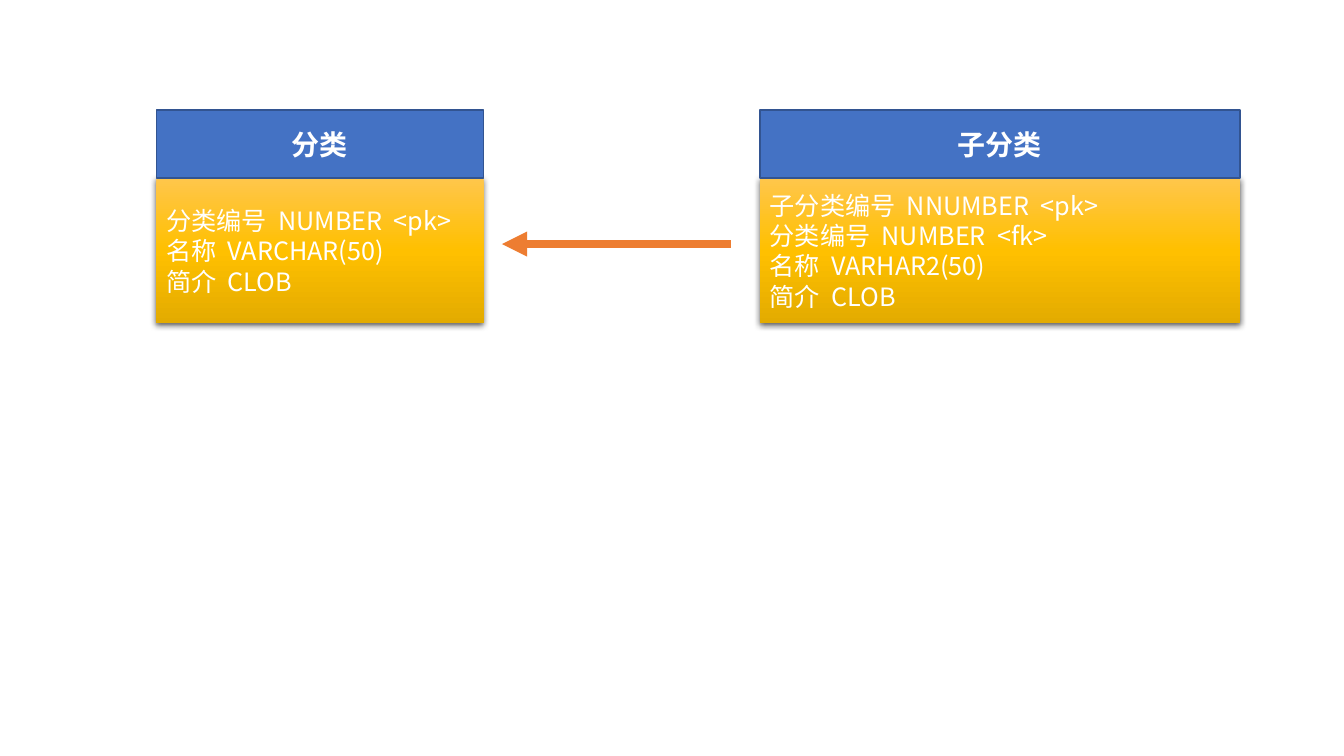
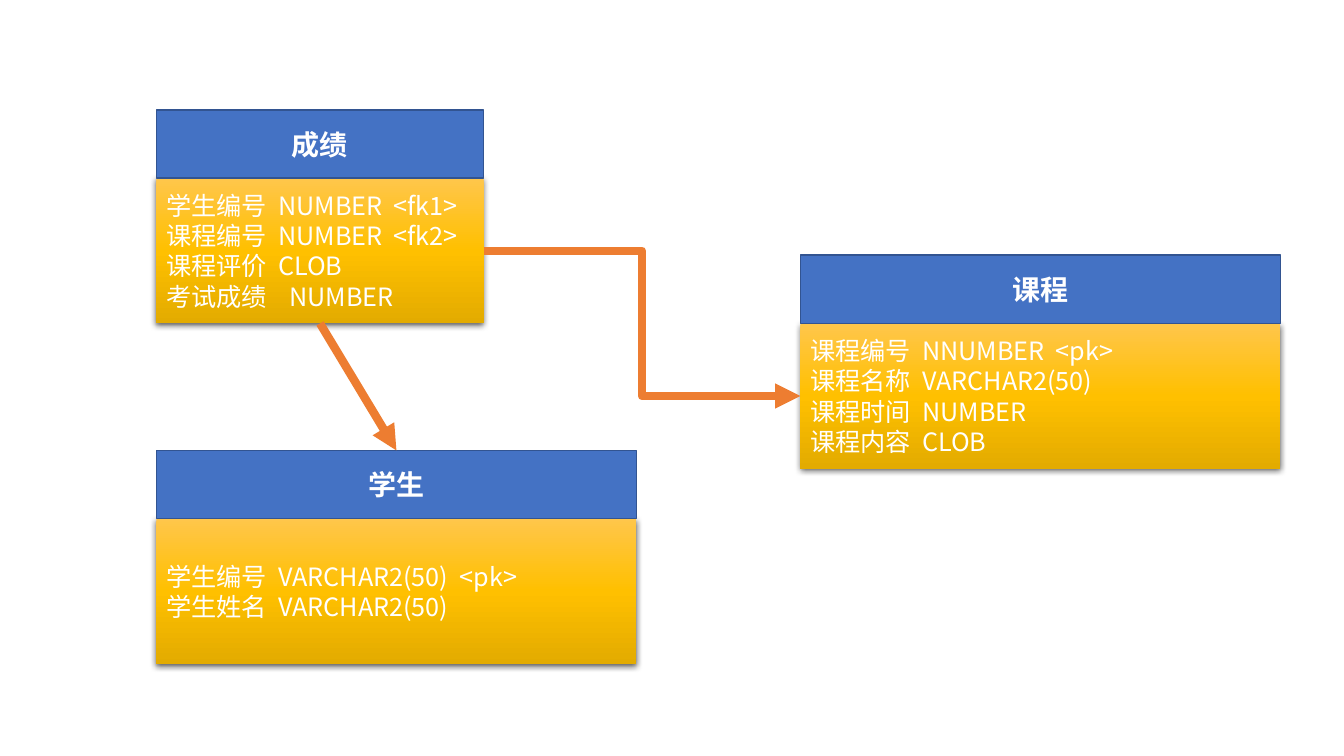
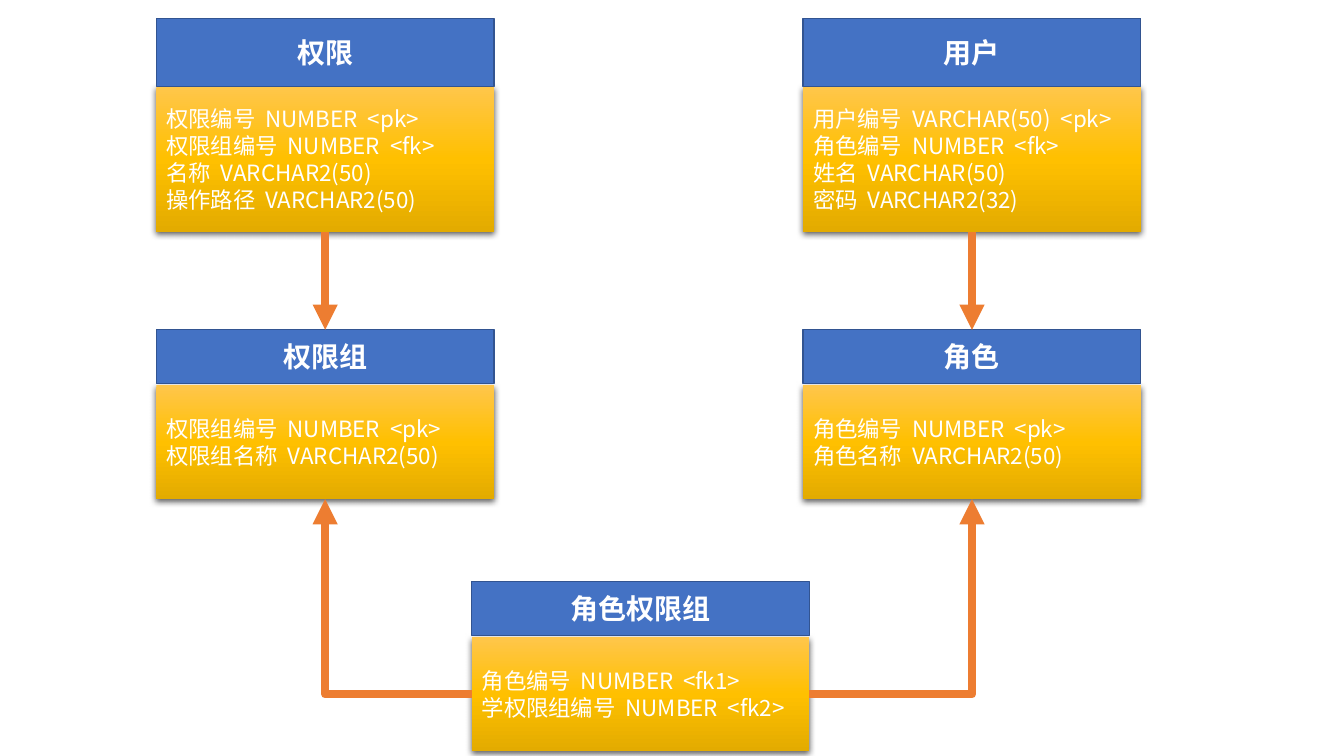
from collections import namedtuple

from pptx import Presentation
from pptx import oxml
from pptx import util as u
from pptx.dml.color import RGBColor
from pptx.enum import shapes, text
from pptx.oxml import ns

HUES = {
    "head": "4472C4", "edge": "325491", "link": "ED7D31", "text": "FFFFFF",
    "light": "FFC64B", "mid": "FFC000", "dark": "E3AB00", "shade": "000000",
}
FONT = "Noto Sans CJK SC"
SPACE = 0.22  # width of a space, in ems
TALL = (1.72, 1.72, 3.66)  # head height, body offset, body height
LOW = (1.35, 1.4, 2.87)

Card = namedtuple("Card", "top left right base")


def hue(name):
    """Return the named colour."""
    return RGBColor.from_string(HUES[name])


def node(xml):
    """Build one drawing element."""
    return oxml.parse_xml(xml.replace(" ", f" {ns.nsdecls('a')} ", 1))


class Deck:
    """Holds the shared style and the current slide."""

    def __init__(self):
        """Start an empty wide deck."""
        self.prs = Presentation()
        self.prs.slide_width = u.Cm(33.87)
        self.prs.slide_height = u.Cm(19.05)

    def page(self):
        """Add a blank slide."""
        self.slide = self.prs.slides.add_slide(self.prs.slide_layouts[6])

    def style(self, run, size, bold=False):
        """Set font, size and colour of a run."""
        run.font.size = u.Pt(size)
        run.font.bold = bold
        run.font.color.rgb = hue("text")
        run.font.name = FONT
        run.font._element.append(node(f'<a:ea typeface="{FONT}"/>'))

    def rect(self, x, y, w, h):
        """Add a plain box with text centred in height."""
        box = self.slide.shapes.add_shape(
            shapes.MSO_SHAPE.RECTANGLE, *map(u.Cm, (x, y, w, h)))
        box.shadow.inherit = False
        box.text_frame.word_wrap = True
        box.text_frame.vertical_anchor = text.MSO_ANCHOR.MIDDLE
        return box

    def head(self, x, y, w, h, title):
        """Add the blue title box of a card."""
        box = self.rect(x, y, w, h)
        box.fill.solid()
        box.fill.fore_color.rgb = hue("head")
        box.line.color.rgb = hue("edge")
        box.line.width = u.Pt(1)
        box.text_frame.text = title
        para = box.text_frame.paragraphs[0]
        para.alignment = text.PP_ALIGN.CENTER
        self.style(para.runs[0], 20, True)

    def glow(self, box):
        """Give a box the gold gradient and a soft shadow."""
        box.line.fill.background()
        props = box._element.spPr
        stops = "".join(
            f'<a:gs pos="{pos}"><a:srgbClr val="{HUES[name]}"/></a:gs>'
            for pos, name in ((0, "light"), (50000, "mid"), (100000, "dark")))
        props.find(ns.qn("a:ln")).addprevious(node(
            f'<a:gradFill rotWithShape="1"><a:gsLst>{stops}</a:gsLst>'
            '<a:lin ang="5400000" scaled="0"/></a:gradFill>'))
        props.find(ns.qn("a:effectLst")).append(node(
            f'<a:outerShdw blurRad="{u.Pt(4.5)}" dist="{u.Pt(1.5)}" '
            'dir="5400000" algn="ctr" rotWithShape="0">'
            f'<a:srgbClr val="{HUES["shade"]}"><a:alpha val="63000"/>'
            '</a:srgbClr></a:outerShdw>'))

    def row(self, para, line, size):
        """Write fields split by bars; each further bar widens the gap."""
        para.alignment = text.PP_ALIGN.LEFT
        bars = 0
        for field in line.split("|"):
            if field and bars:
                gap = para.add_run()
                gap.text = " "
                self.style(gap, size)
                extra = (2 * bars - 1) * SPACE * size
                gap.font._element.set("spc", str(round(extra * 100)))
                bars = 0
            if field:
                run = para.add_run()
                run.text = field
                self.style(run, size)
            bars += 1

    def card(self, x, y, w, title, rows, size=18, form=TALL):
        """Add a table card and return its link points."""
        top, drop, deep = form
        body = self.rect(x, y + drop, w, deep)
        self.glow(body)
        frame = body.text_frame
        for i, line in enumerate(rows):
            para = frame.add_paragraph() if i else frame.paragraphs[0]
            self.row(para, line, size)
        self.head(x, y, w, top, title)
        base = y + drop + deep
        half, mid = x + w / 2, base - deep / 2
        return Card((half, y), (x, mid), (x + w, mid), (half, base))

    def link(self, start, end, bend=0):
        """Add an arrow; bend names the elbow type, 0 is straight."""
        kind = shapes.MSO_CONNECTOR
        line = self.slide.shapes.add_connector(
            kind.ELBOW if bend else kind.STRAIGHT,
            *map(u.Cm, (*start, *end)))
        line.line.color.rgb = hue("link")
        line.line.width = u.Pt(6)
        props = line._element.spPr
        if bend:
            props.find(ns.qn("a:prstGeom")).set("prst", f"bentConnector{bend}")
        props.find(ns.qn("a:ln")).append(node('<a:tailEnd type="triangle"/>'))
        props.append(node("<a:effectLst />"))


def sorts(deck):
    """Category and subcategory tables."""
    deck.page()
    deck.card(3.94, 2.77, 8.25, "分类", [
        "分类编号|NUMBER|<pk>", "名称|VARCHAR(50)", "简介|CLOB"])
    deck.card(19.15, 2.77, 12.1, "子分类", [
        "子分类编号|NNUMBER|<pk>", "分类编号|NUMBER|<fk>",
        "名称|VARHAR2(50)", "简介|CLOB"])
    deck.link((18.42, 6.15), (12.65, 6.15))


def marks(deck):
    """Mark, course and student tables."""
    deck.page()
    mark = deck.card(3.94, 2.77, 8.25, "成绩", [
        "学生编号|NUMBER|<fk1>", "课程编号|NUMBER|<fk2>",
        "课程评价|CLOB", "考试成绩||NUMBER"])
    course = deck.card(20.17, 6.43, 12.1, "课程", [
        "课程编号|NNUMBER|<pk>", "课程名称|VARCHAR2(50)",
        "课程时间|NUMBER", "课程内容|CLOB"])
    pupil = deck.card(3.94, 11.35, 12.1, "学生", [
        "学生编号|VARCHAR2(50)|<pk>", "学生姓名|VARCHAR2(50)"])
    deck.link(mark.base, pupil.top)
    deck.link(mark.right, course.left, 3)


def rights(deck):
    """Right, user, group and role tables."""
    deck.page()
    wide, west, east = 8.51, 3.94, 20.24
    right = deck.card(west, 0.46, wide, "权限", [
        "权限编号|NUMBER|<pk>", "权限组编号|NUMBER|<fk>",
        "名称|VARCHAR2(50)", "操作路径|VARCHAR2(50)"], 16)
    user = deck.card(east, 0.46, wide, "用户", [
        "用户编号|VARCHAR(50)|<pk>", "角色编号|NUMBER|<fk>",
        "姓名|VARCHAR(50)", "密码|VARCHAR2(32)"], 16)
    group = deck.card(west, 8.31, wide, "权限组", [
        "权限组编号|NUMBER|<pk>", "权限组名称|VARCHAR2(50)"], 16, LOW)
    role = deck.card(east, 8.31, wide, "角色", [
        "角色编号|NUMBER|<pk>", "角色名称|VARCHAR2(50)"], 16, LOW)
    join = deck.card(11.89, 14.66, wide, "角色权限组", [
        "角色编号|NUMBER|<fk1>", "学权限组编号|NUMBER|<fk2>"], 16, LOW)
    deck.link(right.base, group.top)
    deck.link(user.base, role.top)
    deck.link(join.left, group.base, 2)
    deck.link(join.right, role.base, 2)


deck = Deck()
for draw in (sorts, marks, rights):
    draw(deck)
deck.prs.save("out.pptx")
